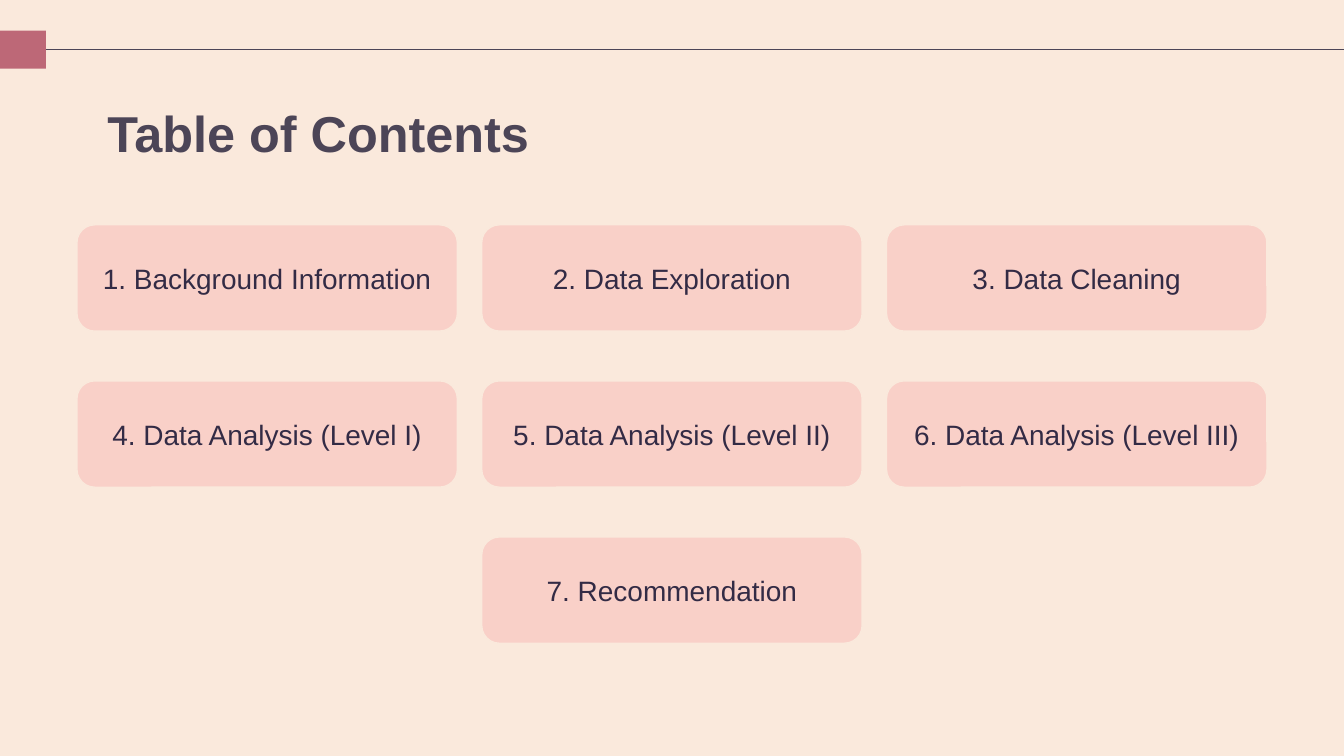
from pptx import Presentation
from pptx.dml.color import RGBColor
from pptx.enum import shapes, text
from pptx.oxml.ns import qn
from pptx.util import Cm, Pt
from lxml import etree

TITLE = "Table of Contents"
ROWS = [
    ["1. Background Information", "2. Data Exploration", "3. Data Cleaning"],
    ["4. Data Analysis (Level I)", "5. Data Analysis (Level II)",
     "6. Data Analysis (Level III)"],
    ["7. Recommendation"],
]
COLORS = {"background": "FAE9DC", "heading": "4C4557", "accent": "BD6877",
          "card": "F9D0C8", "body": "332B45"}

SLIDE_W, SLIDE_H = 25.4, 14.29
CARD_W, CARD_H = 7.19, 2.01
GAP_X, GAP_Y = 0.46, 0.94
GRID_TOP = 4.25
RULE_Y = 0.94
TAB_W, TAB_H = 0.87, 0.72
INSET = Cm(0.25)


def rgb(name):
    return RGBColor.from_string(COLORS[name])


def write(shape, words, frame_format, align, font_format, color):
    frame = shape.text_frame
    frame.text = words
    frame_format = {"word_wrap": True, "auto_size": text.MSO_AUTO_SIZE.NONE,
                    "margin_left": INSET, "margin_right": INSET,
                    "margin_top": INSET, "margin_bottom": INSET, **frame_format}
    for key, value in frame_format.items():
        setattr(frame, key, value)
    paragraph = frame.paragraphs[0]
    paragraph.alignment = align
    font = paragraph.runs[0].font
    for key, value in {"name": "Arial", **font_format}.items():
        setattr(font, key, value)
    font.color.rgb = rgb(color)


def add_block(slide, kind, left, top, width, height, fill):
    block = slide.shapes.add_shape(kind, Cm(left), Cm(top), Cm(width), Cm(height))
    block.shadow.inherit = False
    block.fill.solid()
    block.fill.fore_color.rgb = rgb(fill)
    block.line.fill.background()
    return block


def add_header(slide):
    rule = slide.shapes.add_connector(shapes.MSO_CONNECTOR.STRAIGHT, 0, Cm(RULE_Y),
                                      Cm(SLIDE_W), Cm(RULE_Y))
    rule.line.color.rgb = rgb("heading")
    rule.line.width = Pt(0.75)
    etree.SubElement(rule._element.spPr, qn("a:effectLst"))
    tab = add_block(slide, shapes.MSO_SHAPE.RECTANGLE, 0, RULE_Y - TAB_H / 2,
                    TAB_W, TAB_H, "accent")
    rule.begin_connect(tab, 1)


def add_title(slide):
    title = slide.shapes.title
    place = {"left": 1.78, "top": 1.68, "width": 21.41, "height": 1.6}
    for key, value in place.items():
        setattr(title, key, Cm(value))
    write(title, TITLE, {"vertical_anchor": text.MSO_ANCHOR.TOP},
          text.PP_ALIGN.LEFT, {"size": Pt(27), "bold": True}, "heading")


def add_cards(slide):
    """Lay out each row of cards centred on the slide."""
    for row, topics in enumerate(ROWS):
        row_width = len(topics) * (CARD_W + GAP_X) - GAP_X
        left = (SLIDE_W - row_width) / 2
        top = GRID_TOP + row * (CARD_H + GAP_Y)
        for column, topic in enumerate(topics):
            card = add_block(slide, shapes.MSO_SHAPE.ROUNDED_RECTANGLE,
                             left + column * (CARD_W + GAP_X), top,
                             CARD_W, CARD_H, "card")
            card.line.color.rgb = rgb("background")
            card.line.width = Pt(0.75)
            write(card, topic, {"vertical_anchor": text.MSO_ANCHOR.MIDDLE},
                  text.PP_ALIGN.CENTER, {"size": Pt(15)}, "body")


def main():
    deck = Presentation()
    deck.slide_width, deck.slide_height = Cm(SLIDE_W), Cm(SLIDE_H)
    slide = deck.slides.add_slide(deck.slide_layouts[5])
    slide.background.fill.solid()
    slide.background.fill.fore_color.rgb = rgb("background")
    add_header(slide)
    add_title(slide)
    add_cards(slide)
    deck.save("out.pptx")


if __name__ == "__main__":
    main()
